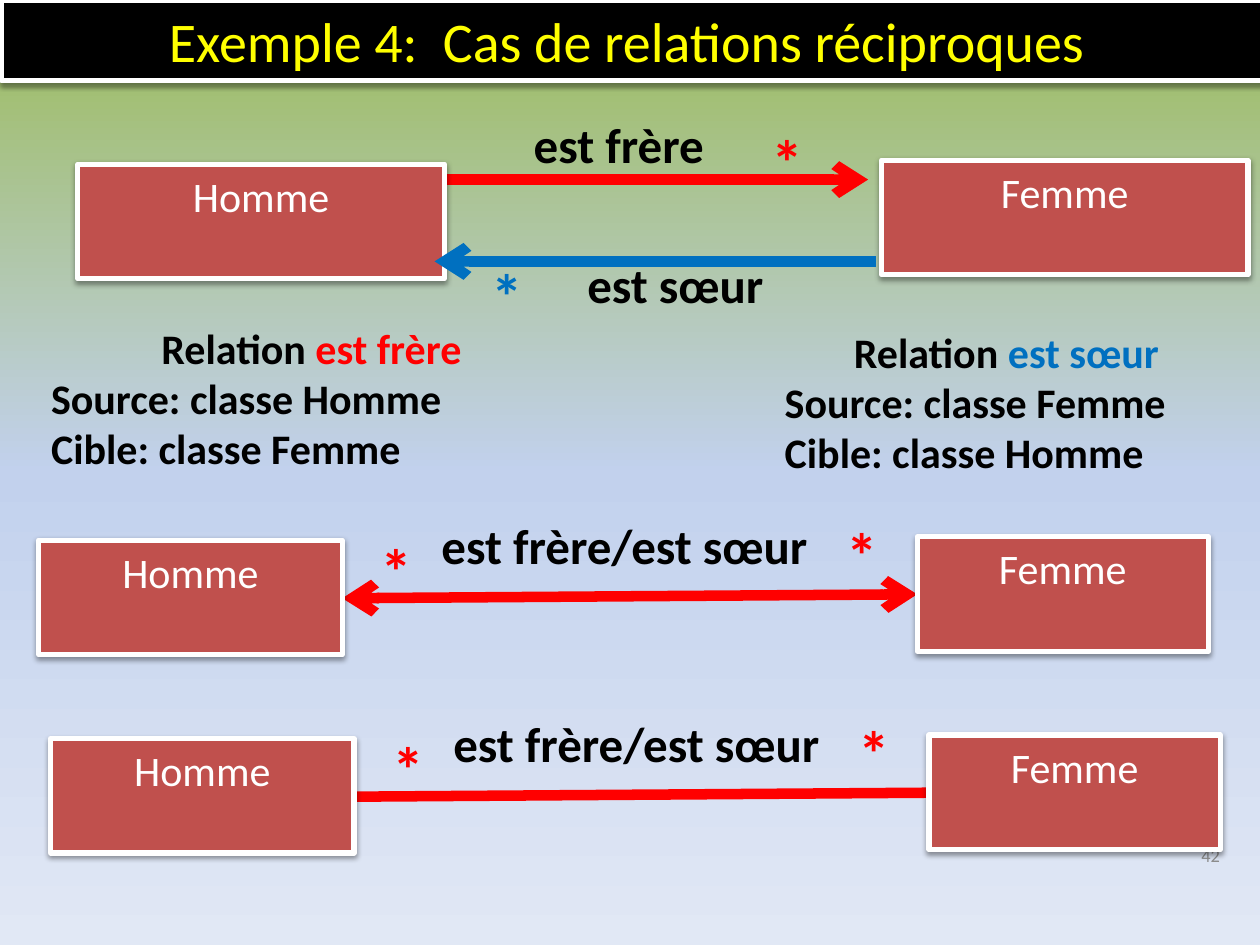
from copy import deepcopy
from dataclasses import dataclass

from lxml.etree import SubElement
from pptx import Presentation
from pptx.dml.color import RGBColor
from pptx.enum.shapes import MSO_CONNECTOR, MSO_SHAPE
from pptx.enum.text import MSO_ANCHOR, PP_ALIGN
from pptx.oxml.ns import qn
from pptx.util import Cm, Pt


@dataclass(frozen=True)
class Theme:
    font: str = "Calibri"
    black: str = "000000"
    white: str = "FFFFFF"
    yellow: str = "FFFF00"
    red: str = "FF0000"
    blue: str = "0070C0"
    brick: str = "C0504D"
    grey: str = "8C8C8C"
    background: tuple = ((0, "9BBB59"), (0.5, "C2D1ED"), (1, "E1E8F5"))
    title_size: float = 32
    star_size: float = 36
    label_size: float = 28
    body_size: float = 24
    number_size: float = 10.5


class Diagram:
    def __init__(self, slide, theme):
        self.slide = slide
        self.theme = theme
        self.shapes = slide.shapes

    def start_group(self):
        self.shapes = self.slide.shapes.add_group_shape().shapes

    def end_group(self):
        self.shapes = self.slide.shapes

    def background(self):
        fill = self.slide.background.fill
        fill.gradient()
        fill.gradient_angle = 270
        stop_list = self.slide.element.xpath(".//p:bg//a:gsLst")[0]
        stop_list.insert(1, deepcopy(stop_list[0]))
        for stop, (position, color) in zip(fill.gradient_stops, self.theme.background):
            stop.position = position
            stop.color.rgb = RGBColor.from_string(color)

    def style(self, span, size, color, bold=False):
        span.font.name = self.theme.font
        span.font.size = Pt(size)
        span.font.bold = bold
        span.font.color.rgb = RGBColor.from_string(color)

    def text(self, content, left, top, width, height, size, color,
             bold=False, align=PP_ALIGN.LEFT, anchor=MSO_ANCHOR.TOP):
        box = self.shapes.add_textbox(Cm(left), Cm(top), Cm(width), Cm(height))
        frame = box.text_frame
        frame.word_wrap = True
        frame.vertical_anchor = anchor
        frame.text = content
        for para in frame.paragraphs:
            para.alignment = align
            for span in para.runs:
                self.style(span, size, color, bold)
        return box

    def label(self, content, left, top, width):
        self.text(content, left, top, width, 1.45,
                  self.theme.label_size, self.theme.black, bold=True)

    def star(self, left, top, width, color):
        self.text("*", left, top, width, 1.8, self.theme.star_size, color, bold=True)

    def note(self, relation, color, source, target, left, top, width):
        theme = self.theme
        box = self.text(f"Relation \nSource: classe {source}\nCible: classe {target}",
                        left, top, width, 3.33, theme.body_size, theme.black, bold=True)
        heading = box.text_frame.paragraphs[0]
        heading.alignment = PP_ALIGN.CENTER
        span = heading.add_run()
        span.text = relation
        self.style(span, theme.body_size, color, bold=True)

    def panel(self, content, left, top, width, height, fill, size, color):
        shape = self.shapes.add_shape(MSO_SHAPE.RECTANGLE,
                                      Cm(left), Cm(top), Cm(width), Cm(height))
        shape.fill.solid()
        shape.fill.fore_color.rgb = RGBColor.from_string(fill)
        shape.line.color.rgb = RGBColor.from_string(self.theme.white)
        shape.line.width = Pt(3)
        # Soft shadow falling straight down
        shape.shadow.inherit = False
        effects = shape.element.spPr.find(qn("a:effectLst"))
        shadow = SubElement(effects, qn("a:outerShdw"), blurRad="40000", dist="20000",
                            dir="5400000", rotWithShape="0")
        shade = SubElement(shadow, qn("a:srgbClr"), val=self.theme.black)
        SubElement(shade, qn("a:alpha"), val="38000")
        frame = shape.text_frame
        frame.word_wrap = True
        frame.vertical_anchor = MSO_ANCHOR.TOP
        frame.text = content
        para = frame.paragraphs[0]
        para.alignment = PP_ALIGN.CENTER
        self.style(para.runs[0], size, color)

    def entity(self, name, left, top, width):
        self.panel(name, left, top, width, 2.31, self.theme.brick,
                   self.theme.body_size, self.theme.white)

    def line(self, start, end, color, arrows=()):
        connector = self.shapes.add_connector(
            MSO_CONNECTOR.STRAIGHT, *(Cm(value) for value in (*start, *end)))
        connector.line.color.rgb = RGBColor.from_string(color)
        connector.line.width = Pt(6)
        outline = connector.line._get_or_add_ln()
        for arrow in arrows:
            SubElement(outline, qn(f"a:{arrow}"), type="arrow")
        SubElement(connector.element.spPr, qn("a:effectLst"))

    def mutual_relation(self, left, top, arrows=()):
        red = self.theme.red
        self.start_group()
        self.line((left + 6.12, top + 1.8), (left + 17.71, top + 1.72), red, arrows)
        self.star(left + 16.03, top, 1.68, red)
        self.label("est frère/est sœur", left + 7.87, top, 8.51)
        self.entity("Homme", left, top + 0.63, 6.12)
        self.entity("Femme", left + 17.71, top + 0.56, 5.87)
        self.star(left + 6.64, top + 0.33, 1.68, red)
        self.end_group()


def main():
    theme = Theme()
    deck = Presentation()
    deck.slide_width, deck.slide_height = Cm(25.4), Cm(19.05)
    diagram = Diagram(deck.slides.add_slide(deck.slide_layouts[6]), theme)
    diagram.background()

    # Slide number
    diagram.text("42", 18.92, 16.72, 5.92, 1.02, theme.number_size, theme.grey,
                 align=PP_ALIGN.RIGHT, anchor=MSO_ANCHOR.MIDDLE)

    # Source and target of the first relation
    diagram.note("est frère", theme.red, "Homme", "Femme", 0.78, 6.37, 11)

    # Two one-way relations
    diagram.start_group()
    diagram.line((8.61, 3.62), (17.5, 3.62), theme.red, ["tailEnd"])
    diagram.star(15.3, 2.34, 3, theme.red)
    diagram.label("est frère", 10.51, 2.18, 5.79)
    diagram.entity("Homme", 1.57, 3.31, 7.39)
    diagram.entity("Femme", 17.77, 3.23, 7.39)
    diagram.line((8.76, 5.27), (17.65, 5.27), theme.blue, ["headEnd"])
    diagram.label("est sœur", 11.59, 5, 5.51)
    diagram.star(9.65, 5.05, 3, theme.blue)
    diagram.end_group()

    # Title band
    diagram.panel("Exemple 4:  Cas de relations réciproques ", 0.03, 0, 25.48, 1.63,
                  theme.black, theme.title_size, theme.yellow)

    # Source and target of the second relation
    diagram.note("est sœur ", theme.blue, "Femme", "Homme", 15.57, 6.45, 9.63)

    # The same pair as one relation, with and without arrowheads
    diagram.mutual_relation(0.78, 10.26, ["headEnd", "tailEnd"])
    diagram.mutual_relation(1.02, 14.26)

    deck.save("out.pptx")


if __name__ == "__main__":
    main()
